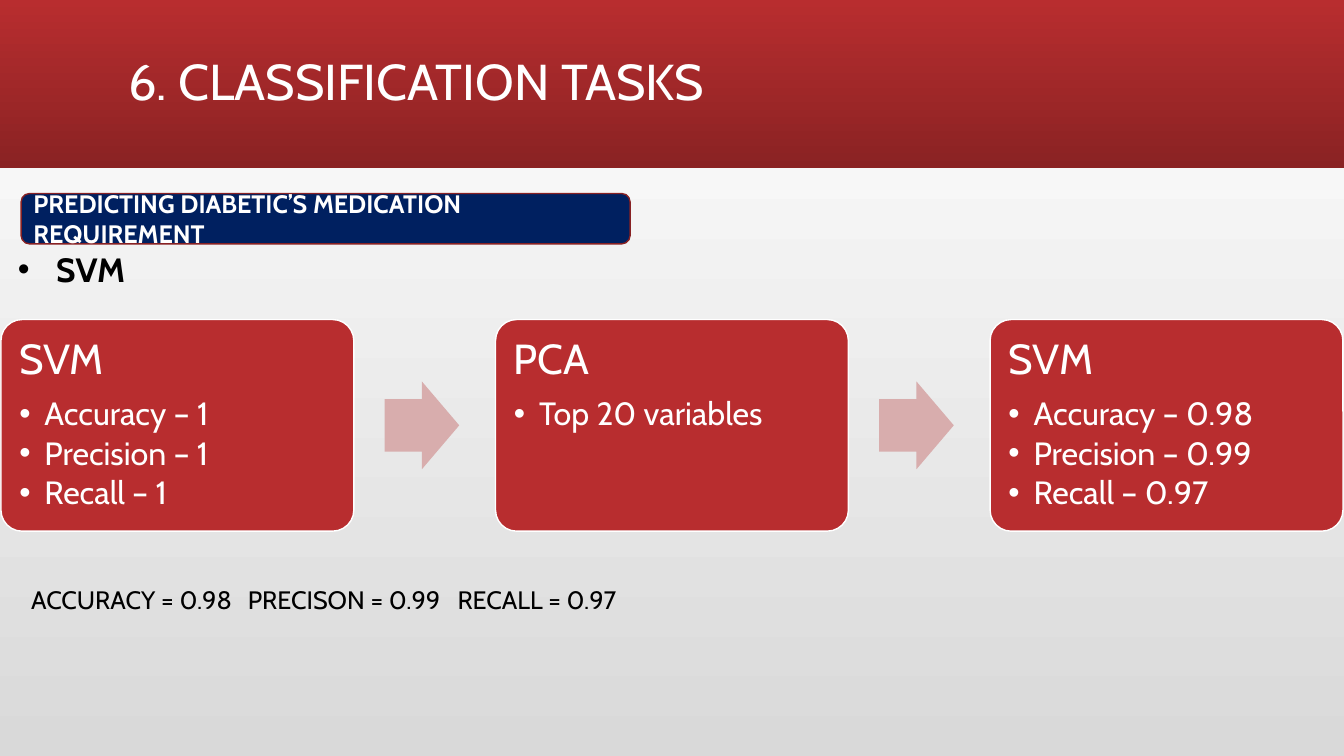
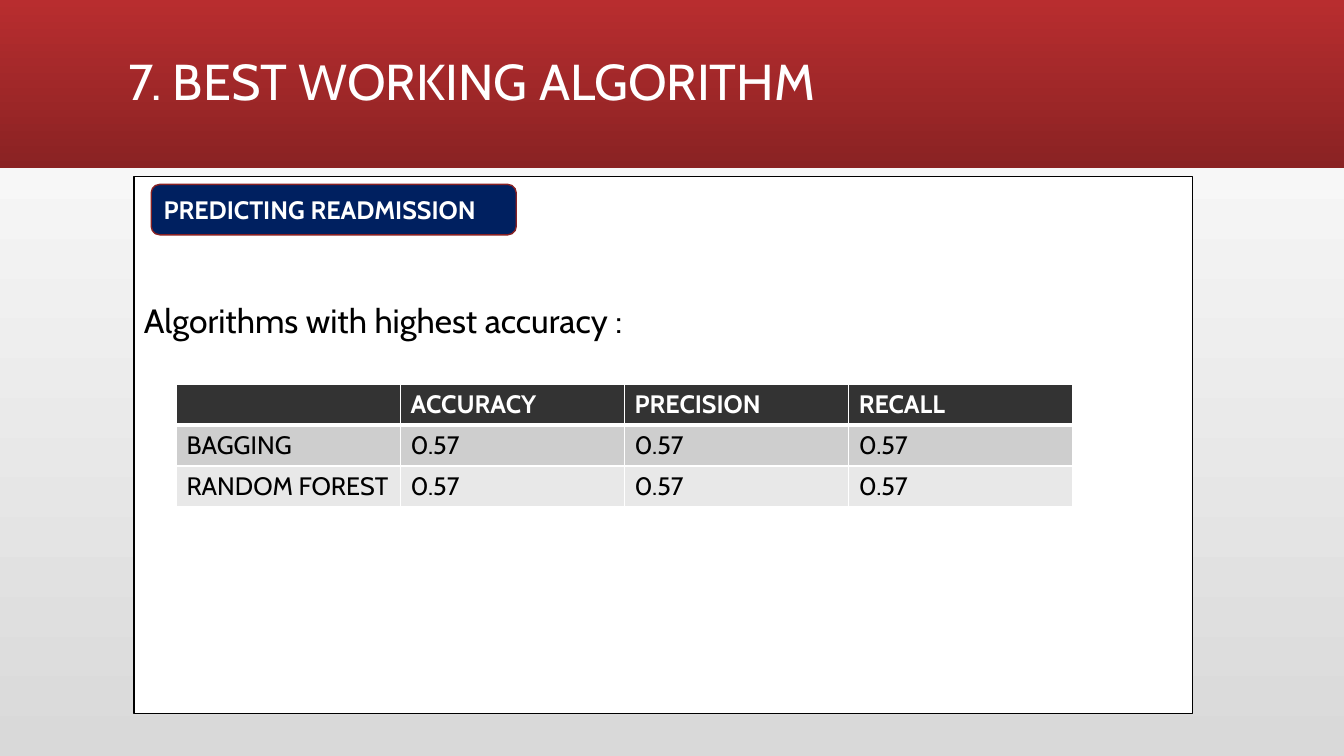
from lxml import etree
from pptx import Presentation
from pptx.dml.color import RGBColor
from pptx.enum.shapes import MSO_SHAPE
from pptx.enum.text import MSO_ANCHOR, PP_ALIGN
from pptx.oxml import parse_xml
from pptx.oxml.ns import nsdecls, qn
from pptx.util import Inches, Pt

FONT = "Cabin"
RED, DARK_RED, NAVY, PINK = "B82D2F", "8A2223", "002060", "D8ADAD"
WHITE, BLACK, GREY, CHARCOAL = "FFFFFF", "000000", "D9D9D9", "333333"
W, H = 13.33, 7.5
rgb = RGBColor.from_string


def write(tf, text, size=18, color=BLACK, bold=False, spacing=None, after=0,
          bullet=0, tabs=()):
    """Add a paragraph; bullet is the hanging indent and tabs the stops, in inches."""
    p = tf.paragraphs[0]
    if p.runs:
        p = tf.add_paragraph()
    p.alignment = PP_ALIGN.LEFT
    p.space_after = Pt(after)
    if spacing:
        p.line_spacing = spacing
    pPr = p._p.get_or_add_pPr()
    if bullet:
        pPr.set("marL", str(Inches(bullet)))
        pPr.set("indent", str(-Inches(bullet)))
        etree.SubElement(pPr, qn("a:buFont"), typeface="Arial")
        etree.SubElement(pPr, qn("a:buChar"), char="•")
    if tabs:
        stops = etree.SubElement(pPr, qn("a:tabLst"))
        for stop in tabs:
            etree.SubElement(stops, qn("a:tab"), pos=str(Inches(stop)), algn="l")
    r = p.add_run()
    r.text = text
    r.font.name, r.font.size, r.font.bold = FONT, Pt(size), bold
    r.font.color.rgb = rgb(color)


def box(s, kind, x, y, w, h, fill=None, line=None, anchor=MSO_ANCHOR.TOP):
    """Add a flat shape, in inches; without fill and line it is a plain text area."""
    if fill:
        sp = s.shapes.add_shape(kind, Inches(x), Inches(y), Inches(w), Inches(h))
        sp.shadow.inherit = False
        sp.fill.solid()
        sp.fill.fore_color.rgb = rgb(fill)
        if line:
            sp.line.color.rgb = rgb(line)
            sp.line.width = Pt(1)
        else:
            sp.line.fill.background()
    else:
        sp = s.shapes.add_textbox(Inches(x), Inches(y), Inches(w), Inches(h))
    sp.text_frame.word_wrap = True
    sp.text_frame.vertical_anchor = anchor
    return sp


prs = Presentation()
prs.slide_width, prs.slide_height = Inches(W), Inches(H)
layout = prs.slide_layouts[5]

# Shared look: background, title place and red band belong to the layout
title = layout.placeholders[0]
title.left, title.top = Inches(1.17), Inches(0.11)
title.width, title.height = Inches(11), Inches(1.45)

slides = []
for heading, pill_text, pill_at in (
    ("6. CLASSIFICATION TASKS", "PREDICTING DIABETIC’S MEDICATION REQUIREMENT",
     (0.21, 1.92, 6.04, 0.5)),
    ("7. BEST WORKING ALGORITHM", "PREDICTING READMISSION", (1.5, 1.83, 3.62, 0.5)),
):
    s = prs.slides.add_slide(layout)
    tf = s.shapes.title.text_frame
    tf.vertical_anchor = MSO_ANCHOR.MIDDLE
    write(tf, heading, size=36, color=WHITE, spacing=0.9)
    if slides:
        panel = box(s, MSO_SHAPE.RECTANGLE, 1.33, 1.75, 10.5, 5.33, WHITE, BLACK)
    pill = box(s, MSO_SHAPE.ROUNDED_RECTANGLE, *pill_at, NAVY, "882123", MSO_ANCHOR.MIDDLE)
    write(pill.text_frame, pill_text, color=WHITE, bold=True)
    slides.append(s)

band = box(slides[0], MSO_SHAPE.RECTANGLE, 0, 0, W, H * 2 / 9, RED)
layout.shapes.element.insert(2, band.element)
for fill, colors, angle in (
    (layout.background.fill, (GREY, WHITE), 90),
    (band.fill, (RED, DARK_RED), 270),
):
    fill.gradient()
    fill.gradient_angle = angle
    for stop, color, position in zip(fill.gradient_stops, colors, (0, 1)):
        stop.color.rgb = rgb(color)
        stop.position = position

# Slide 1: three cards joined by arrows
s = slides[0]
write(box(s, None, 0.08, 2.42, 4.5, 0.5).text_frame, "SVM", size=24, bold=True, bullet=0.38)

card_w, card_h, card_y, edge = 3.5, 2.1, 3.17, 0.01
arrow_w, arrow_h = 0.74, 0.87
cards = (
    ("SVM", ("Accuracy – 1", "Precision – 1", "Recall – 1")),
    ("PCA", ("Top 20 variables",)),
    ("SVM", ("Accuracy – 0.98", "Precision – 0.99", "Recall – 0.97")),
)
pitch = (W - 2 * edge - card_w) / (len(cards) - 1)
for i, (name, points) in enumerate(cards):
    x = edge + i * pitch
    if i:
        arrow = box(s, MSO_SHAPE.RIGHT_ARROW, x - 1.1, card_y + (card_h - arrow_h) / 2,
                    arrow_w, arrow_h, PINK)
        arrow.adjustments[0] = 0.6
    card = box(s, MSO_SHAPE.ROUNDED_RECTANGLE, x, card_y, card_w, card_h, RED, WHITE)
    card.adjustments[0] = 0.1
    tf = card.text_frame
    tf.margin_left = tf.margin_right = tf.margin_top = tf.margin_bottom = Inches(0.12)
    write(tf, name, size=30, color=WHITE, spacing=0.9, after=10.5)
    for point in points:
        write(tf, point, size=23, color=WHITE, spacing=0.9, after=3.4, bullet=0.25)

write(box(s, None, 0.21, 5.75, 12, 0.4).text_frame,
      "ACCURACY = 0.98\tPRECISON = 0.99\tRECALL = 0.97", tabs=(2.15, 4.23))

# Slide 2: scores in a table on the white panel
s = slides[1]
panel.text_frame.margin_top = Inches(1.27)
write(panel.text_frame, "Algorithms with highest accuracy :", size=24, spacing=0.9)

rows = (
    ("", "ACCURACY", "PRECISION", "RECALL"),
    ("BAGGING", "0.57", "0.57", "0.57"),
    ("RANDOM FOREST", "0.57", "0.57", "0.57"),
)
row_fills = (CHARCOAL, "CECECE", "E8E8E8")
table = s.shapes.add_table(len(rows), len(rows[0]), Inches(1.75), Inches(3.81),
                           Inches(8.89), Inches(1.22)).table
for i, (row, row_fill) in enumerate(zip(rows, row_fills)):
    for j, text in enumerate(row):
        cell = table.cell(i, j)
        cell.fill.solid()
        cell.fill.fore_color.rgb = rgb(row_fill)
        if text:
            write(cell.text_frame, text, color=BLACK if i else WHITE, bold=i == 0)
        widths = {"lnL": 1, "lnR": 1, "lnT": 3 if i == 1 else 1, "lnB": 1 if i else 3}
        for k, (side, width) in enumerate(widths.items()):
            cell._tc.get_or_add_tcPr().insert(k, parse_xml(
                f'<a:{side} {nsdecls("a")} w="{Pt(width)}"><a:solidFill>'
                f'<a:srgbClr val="{WHITE}"/></a:solidFill></a:{side}>'))

prs.save("out.pptx")
